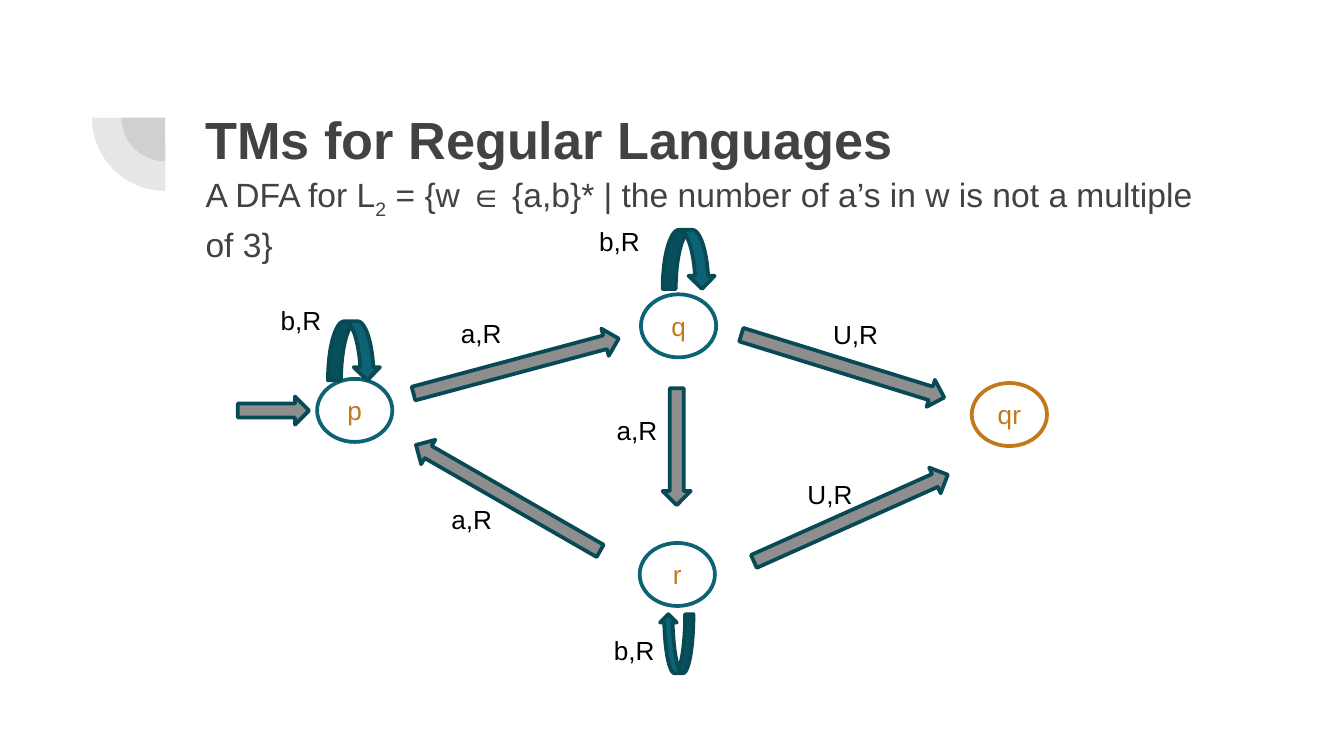
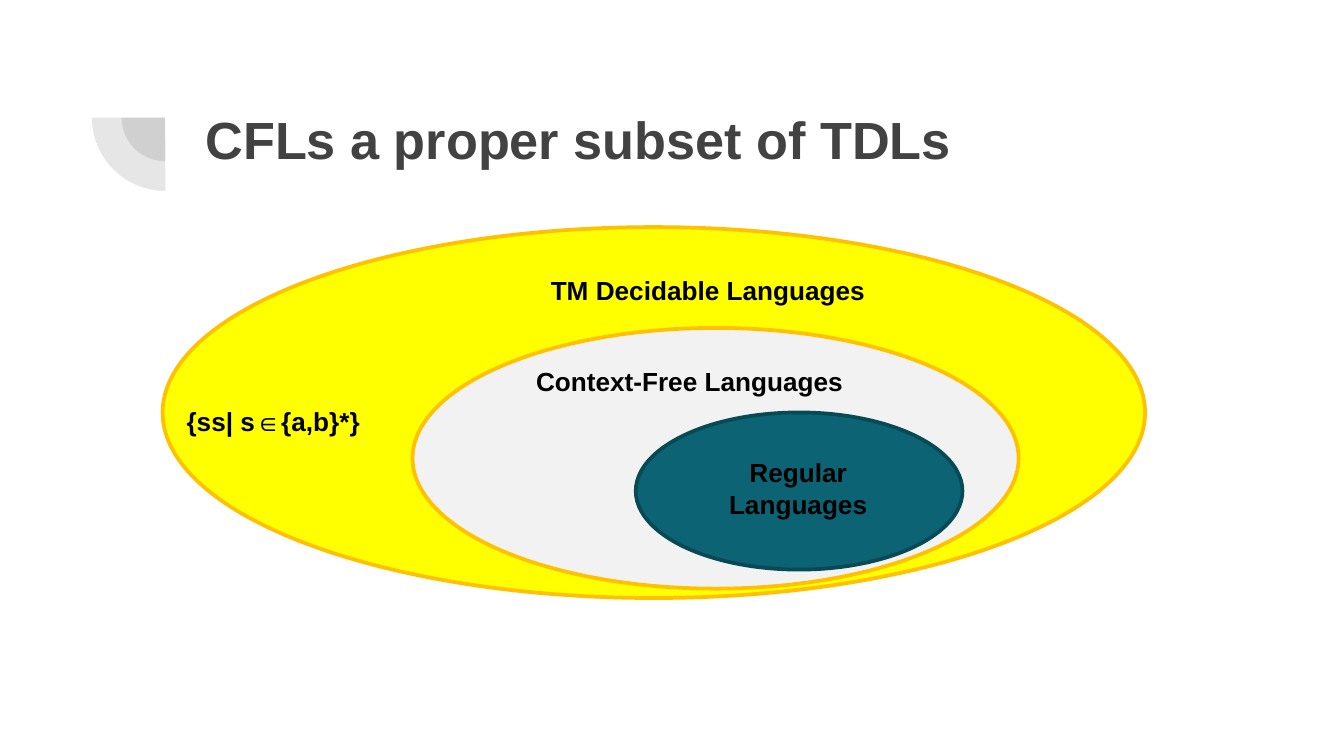
from pptx import Presentation
from pptx.dml.color import RGBColor
from pptx.enum.shapes import MSO_SHAPE as Preset
from pptx.enum.text import MSO_ANCHOR as Anchor, MSO_AUTO_SIZE as AutoSize, PP_ALIGN as Align
from pptx.oxml.ns import qn
from pptx.util import Pt
from lxml.etree import SubElement

FONT = "Arial"
CHARCOAL = RGBColor(0x42, 0x42, 0x42)
BLACK = RGBColor(0, 0, 0)
WHITE = RGBColor(0xFF, 0xFF, 0xFF)
TEAL = RGBColor(0x0B, 0x63, 0x74)
DARK_TEAL = RGBColor(0x08, 0x49, 0x56)
OCHRE = RGBColor(0xC0, 0x79, 0x1B)
GREY = RGBColor(0x8E, 0x8E, 0x8E)
PALE_GREY = RGBColor(0xF2, 0xF2, 0xF2)
YELLOW = RGBColor(0xFF, 0xFF, 0)
AMBER = RGBColor(0xFF, 0xC0, 0)

LABEL_SIZE = 14
ARROW_THICKNESS = 15.1

# Left, top and rim of each automaton state
STATES = {
    "q": (343.4, 157.7, TEAL),
    "r": (342.7, 290.9, TEAL),
    "p": (169.9, 203, TEAL),
    "qr": (520.6, 205.2, OCHRE),
}
# Left, top, length and rotation of each transition
TRANSITIONS = [
    (219.6, 188.6, 113.8, 345),
    (394.6, 188.6, 113.8, 17.2),
    (398.9, 270, 113.8, 335.9),
    (215.3, 259.2, 113.8, 209.9),
    (331.2, 231.8, 62.6, 90),
    (127.4, 212.4, 38.2, 0),
]
# Left, top, width and rotation of each self-loop
LOOPS = [(355, 123.1, 28.1, 0), (353.5, 329, 18, 180), (175.7, 172.1, 28.1, 0)]
TRANSITION_LABELS = [
    ("b,R", 313.9, 117.4), ("a,R", 239.8, 166.3), ("b,R", 143.3, 159.8),
    ("a,R", 323.3, 218.2), ("a,R", 234.7, 266.4), ("b,R", 321.8, 336.2),
    ("U,R", 439.2, 167), ("U,R", 425.5, 252.7),
]
# Left, top, width, height, fill and rim, from the outermost set inwards
LANGUAGE_SETS = [
    (87.1, 121.7, 526.3, 198.7, YELLOW, AMBER),
    (221, 175.7, 324.7, 139.7, PALE_GREY, AMBER),
    (340.6, 221, 175, 84.2, TEAL, DARK_TEAL),
]
SET_LABELS = [
    (["TM Decidable Languages"], 288, 143.3, Align.LEFT),
    (["Context-Free Languages"], 280.1, 192.2, Align.LEFT),
    (["Regular", "Languages"], 336.2, 241.2, Align.CENTER),
    (["{ss| s∈{a,b}*}"], 92.9, 213.8, Align.LEFT),
]


def add_run(paragraph, text, size, color, bold=False):
    run = paragraph.add_run()
    run.text = text
    run.font.name = FONT
    run.font.size = Pt(size)
    run.font.bold = bold
    run.font.color.rgb = color
    return run


def add_figure(slide, preset, left, top, width, height, fill, rim=None, rotation=0):
    figure = slide.shapes.add_shape(preset, Pt(left), Pt(top), Pt(width), Pt(height))
    figure.shadow.inherit = False
    figure.rotation = rotation
    figure.fill.solid()
    figure.fill.fore_color.rgb = fill
    if rim is None:
        figure.line.fill.background()
    else:
        figure.line.color.rgb = rim
        figure.line.width = Pt(2)
    return figure


def add_label(slide, lines, left, top, width, bold=False, align=Align.LEFT):
    height = 7.4 + 16.8 * len(lines)
    frame = slide.shapes.add_textbox(Pt(left), Pt(top), Pt(width), Pt(height)).text_frame
    frame.word_wrap = True
    frame.auto_size = AutoSize.SHAPE_TO_FIT_TEXT
    for index, line in enumerate(lines):
        paragraph = frame.add_paragraph() if index else frame.paragraphs[0]
        paragraph.alignment = align
        add_run(paragraph, line, LABEL_SIZE, BLACK, bold)


def add_state(slide, name, left, top, rim):
    state = add_figure(slide, Preset.OVAL, left, top, 40.3, 33.8, WHITE, rim)
    frame = state.text_frame
    frame.vertical_anchor = Anchor.MIDDLE
    frame.paragraphs[0].alignment = Align.CENTER
    add_run(frame.paragraphs[0], name, LABEL_SIZE, OCHRE)


def add_corner_ornament(slide):
    center_x, center_y = 88.5, 63
    for side in (46.8, 78.5):
        quarter = add_figure(slide, Preset.PIE, center_x - side / 2, center_y - side / 2,
                             side, side, CHARCOAL, rotation=270)
        quarter.adjustments[0] = 107.93
        quarter.adjustments[1] = 162
        tint = quarter.fill._xPr.find(qn("a:solidFill"))[0]
        SubElement(tint, qn("a:alpha"), val="13000")


def add_titled_slide(deck, title):
    """Add a slide with the shared ornament and title; return it and its title paragraph."""
    slide = deck.slides.add_slide(deck.slide_layouts[6])
    add_corner_ornament(slide)
    frame = slide.shapes.add_textbox(Pt(103), Pt(46.8), Pt(553.7), Pt(78.5)).text_frame
    frame.word_wrap = True
    frame.margin_top = frame.margin_bottom = Pt(7.2)
    heading = frame.paragraphs[0]
    heading.line_spacing = 1.1
    add_run(heading, title, 28, CHARCOAL, bold=True)
    return slide, heading


def build_automaton(deck):
    slide, heading = add_titled_slide(deck, "TMs for Regular Languages")
    heading.add_line_break()
    add_run(heading, "A DFA for L", 18, CHARCOAL)
    subscript = add_run(heading, "2", 18, CHARCOAL)
    subscript.font._element.set("baseline", "-25000")
    add_run(heading, " = {w ∈ {a,b}* | the number of a’s in w is not a multiple of 3}",
            18, CHARCOAL)

    for name, (left, top, rim) in STATES.items():
        add_state(slide, name, left, top, rim)
    for left, top, length, rotation in TRANSITIONS:
        add_figure(slide, Preset.RIGHT_ARROW, left, top, length, ARROW_THICKNESS,
                   GREY, DARK_TEAL, rotation)
    for left, top, width, rotation in LOOPS:
        add_figure(slide, Preset.CURVED_DOWN_ARROW, left, top, width, 31.7,
                   TEAL, DARK_TEAL, rotation)
    for text, left, top in TRANSITION_LABELS:
        add_label(slide, [text], left, top, 60.5)


def build_language_hierarchy(deck):
    slide, _ = add_titled_slide(deck, "CFLs a proper subset of TDLs")
    for language_set in LANGUAGE_SETS:
        add_figure(slide, Preset.OVAL, *language_set)
    for lines, left, top, align in SET_LABELS:
        add_label(slide, lines, left, top, 182.9, bold=True, align=align)


def main():
    deck = Presentation()
    deck.slide_width, deck.slide_height = Pt(720), Pt(405)
    build_automaton(deck)
    build_language_hierarchy(deck)
    deck.save("out.pptx")


if __name__ == "__main__":
    main()
